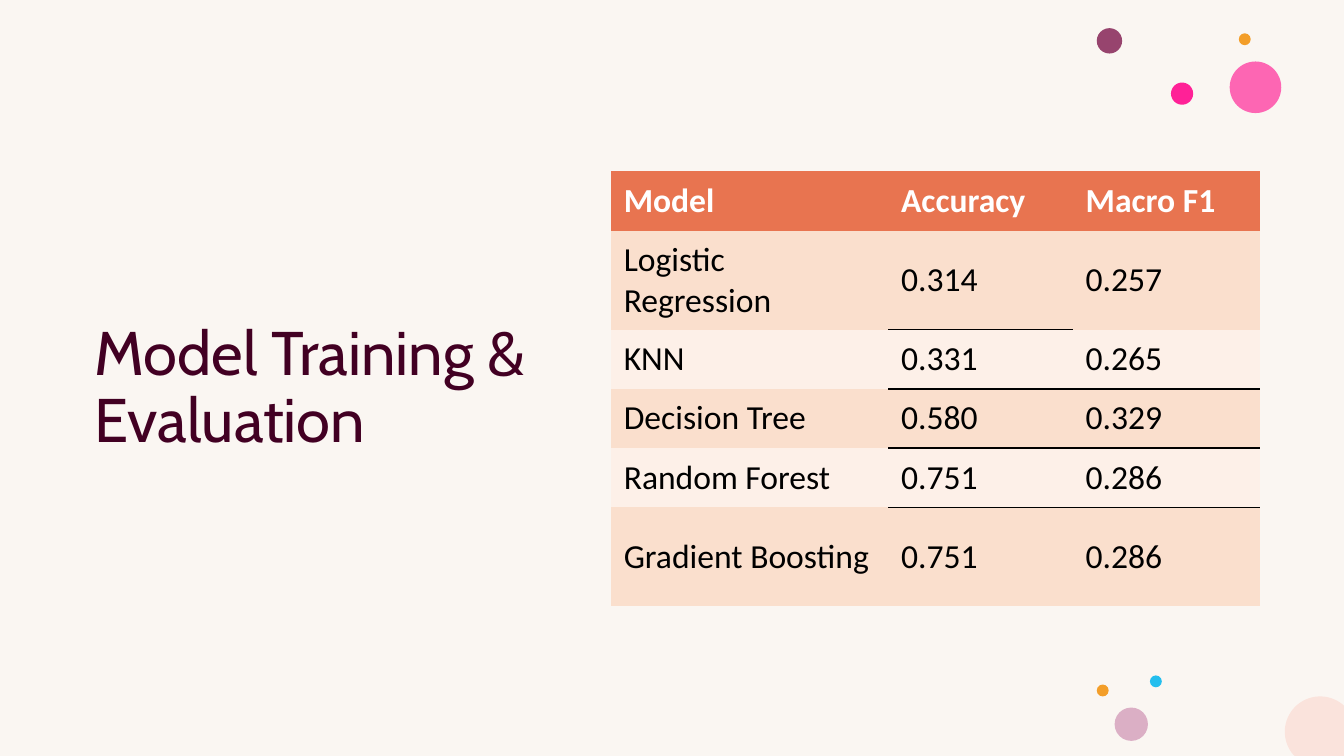
from math import cos, pi, sin

from lxml.etree import SubElement
from pptx import Presentation
from pptx.dml.color import RGBColor
from pptx.enum.shapes import MSO_SHAPE
from pptx.enum.text import MSO_ANCHOR, MSO_AUTO_SIZE, PP_ALIGN
from pptx.oxml import parse_xml
from pptx.oxml.ns import nsdecls, qn
from pptx.util import Cm, Pt

PAGE_WIDTH, PAGE_HEIGHT = 33.87, 19.05
NO_STYLE = "{2D5ABB26-0587-4C30-8999-92F81FD0307C}"
RESULTS = [
    ("Model", "Accuracy", "Macro F1"),
    ("Logistic Regression", "0.314", "0.257"),
    ("KNN", "0.331", "0.265"),
    ("Decision Tree", "0.580", "0.329"),
    ("Random Forest", "0.751", "0.286"),
    ("Gradient Boosting", "0.751", "0.286"),
]
COLUMN_WIDTHS = (6.99, 4.65, 4.72)
ROW_HEIGHTS = (1.49, 2.5, 1.49, 1.49, 1.49, 2.5)
RULES_BELOW = {(1, 1)} | {(row, column) for row in (2, 3, 4) for column in (1, 2)}
DOTS = [
    (27.64, 0.71, 0.64, "97446E", 100),
    (30.99, 1.55, 1.3, "FF2F9C", 72),
    (31.22, 0.84, 0.3, "F39E29", 100),
    (29.51, 2.08, 0.56, "FF2197", 100),
    (28.98, 17.02, 0.3, "24BEEE", 100),
    (28.09, 17.83, 0.84, "DBAFC5", 100),
    (27.64, 17.25, 0.3, "F39E29", 100),
]


def color(value):
    return RGBColor.from_string(value)


def apply(target, values):
    for name, value in values.items():
        setattr(target, name, value)


class ResultsPage:
    """Holds the style and the current slide and adds each kind of element."""

    title_font = {"name": "Cabin", "size": Pt(44), "bold": False}
    cell_font = {"name": "Calibri", "size": Pt(24)}
    cell_format = {
        "vertical_anchor": MSO_ANCHOR.MIDDLE,
        "margin_left": Cm(0.33), "margin_right": Cm(0.33),
        "margin_top": Cm(0.18), "margin_bottom": Cm(0.18),
    }
    header_fill, band_fills = "E87450", ("FDF0E8", "FADFCD")

    def __init__(self, deck, background):
        self.page = deck.slides.add_slide(deck.slide_layouts[5])
        self.paint(self.page.background.fill, background)

    def paint(self, fill, value, opacity=100):
        fill.solid()
        fill.fore_color.rgb = color(value)
        if opacity < 100:
            tint = fill._xPr.find(qn("a:solidFill"))[0]
            SubElement(tint, qn("a:alpha"), val=str(opacity * 1000))

    def finish(self, shape, value, opacity=100):
        shape.shadow.inherit = False
        shape.line.fill.background()
        self.paint(shape.fill, value, opacity)

    def title(self, text, left, top, width, height):
        box = self.page.shapes.title
        apply(box, {"left": Cm(left), "top": Cm(top), "width": Cm(width), "height": Cm(height)})
        apply(box.text_frame, {
            "text": text, "word_wrap": True,
            "auto_size": MSO_AUTO_SIZE.NONE, "vertical_anchor": MSO_ANCHOR.MIDDLE,
        })
        para = box.text_frame.paragraphs[0]
        apply(para, {"alignment": PP_ALIGN.LEFT, "line_spacing": 0.9})
        span = para.runs[0]
        apply(span.font, self.title_font)
        span.font.color.rgb = color("420023")

    def dot(self, left, top, size, value, opacity):
        shape = self.page.shapes.add_shape(MSO_SHAPE.OVAL, Cm(left), Cm(top), Cm(size), Cm(size))
        self.finish(shape, value, opacity)

    def corner_dot(self, center_x, center_y, radius, value, steps=120):
        points = [
            (Cm(min(center_x + radius * cos(2 * pi * step / steps), PAGE_WIDTH)),
             Cm(min(center_y + radius * sin(2 * pi * step / steps), PAGE_HEIGHT)))
            for step in range(steps)
        ]
        outline = self.page.shapes.build_freeform(*points[0])
        outline.add_line_segments(points[1:], close=True)
        self.finish(outline.convert_to_shape(), value)

    def rule(self, cell, side):
        line = parse_xml(
            f'<a:ln{side} {nsdecls("a")} w="12700"><a:solidFill>'
            f'<a:srgbClr val="000000"/></a:solidFill></a:ln{side}>'
        )
        cell._tc.get_or_add_tcPr().insert(0, line)

    def cell(self, cell, text, row):
        apply(cell, self.cell_format)
        cell.text = text
        span = cell.text_frame.paragraphs[0].runs[0]
        apply(span.font, {**self.cell_font, "bold": row == 0})
        span.font.color.rgb = color("000000" if row else "FFFFFF")
        self.paint(cell.fill, self.band_fills[row % 2] if row else self.header_fill)

    def table(self, left, top, rows):
        frame = self.page.shapes.add_table(
            len(rows), len(rows[0]), Cm(left), Cm(top),
            Cm(sum(COLUMN_WIDTHS)), Cm(sum(ROW_HEIGHTS)),
        )
        table = frame.table
        table.horz_banding = False
        table._tbl.tblPr.find(qn("a:tableStyleId")).text = NO_STYLE
        for column, width in zip(table.columns, COLUMN_WIDTHS):
            column.width = Cm(width)
        for line, height in zip(table.rows, ROW_HEIGHTS):
            line.height = Cm(height)
        for row, texts in enumerate(rows):
            for column, text in enumerate(texts):
                cell = table.cell(row, column)
                self.cell(cell, text, row)
                if (row, column) in RULES_BELOW:
                    self.rule(cell, "B")
                if (row - 1, column) in RULES_BELOW:
                    self.rule(cell, "T")


def main():
    deck = Presentation()
    apply(deck, {"slide_width": Cm(PAGE_WIDTH), "slide_height": Cm(PAGE_HEIGHT)})
    page = ResultsPage(deck, "FAF6F2")
    page.title("Model Training & Evaluation", 2.13, 2.64, 12.8, 14.33)
    for dot in DOTS:
        page.dot(*dot)
    page.corner_dot(33.27, 18.44, 0.89, "FAE3DC")
    page.table(15.39, 4.32, RESULTS)
    deck.save("out.pptx")


if __name__ == "__main__":
    main()
